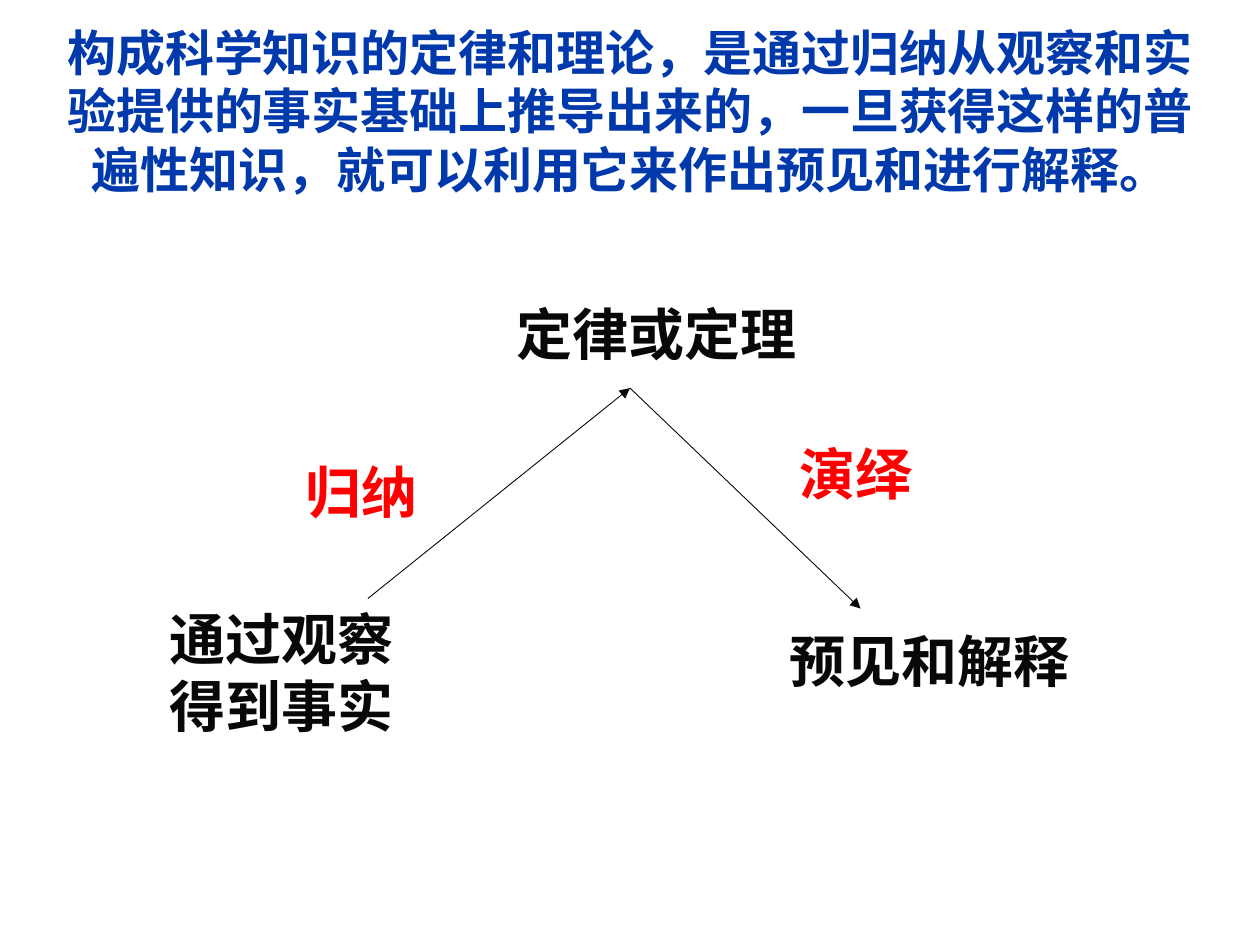
from lxml.etree import SubElement
from pptx import Presentation
from pptx.dml.color import RGBColor
from pptx.enum.shapes import MSO_CONNECTOR as Connector
from pptx.enum.text import MSO_ANCHOR as Anchor, PP_ALIGN as Align
from pptx.oxml.ns import qn
from pptx.util import Inches, Pt

BLUE = RGBColor(0x00, 0x39, 0xAC)
INK = RGBColor(0x08, 0x08, 0x08)
RED = RGBColor(0xFF, 0x00, 0x00)

TITLE = (
    "构成科学知识的定律和理论，是通过归纳从观察和实验提供的事实基础上推导出来的，"
    "一旦获得这样的普遍性知识，就可以利用它来作出预见和进行解释。"
)
TITLE_AREA = (0.33, 0.25, 9.34, 1.25)

LABELS = [
    ("通过观察得到事实", (1.25, 4.75, 2.08, 1.17), INK),
    ("归纳", (2.33, 3.58, 1.17, 0.64), RED),
    ("定律或定理", (4, 2.33, 2.83, 0.64), INK),
    ("预见和解释", (6.17, 4.92, 2.5, 0.64), INK),
    ("演绎", (6.25, 3.44, 1.5, 0.64), RED),
]

FACTS, LAW, PREDICTION = (2.92, 4.75), (5, 3.08), (6.83, 4.83)
ARROWS = [(FACTS, LAW), (LAW, PREDICTION)]


def add_text(slide, text, area, font, size, color, align=Align.LEFT, anchor=Anchor.TOP):
    box = slide.shapes.add_textbox(*map(Inches, area))
    frame = box.text_frame
    frame.word_wrap = True
    frame.vertical_anchor = anchor
    para = frame.paragraphs[0]
    para.alignment = align
    span = para.add_run()
    span.text = text
    span.font.name = font
    span.font.size = Pt(size)
    span.font.bold = True
    span.font.color.rgb = color


def add_arrow(slide, start, end):
    arrow = slide.shapes.add_connector(Connector.STRAIGHT, *map(Inches, start + end))
    arrow.line.color.rgb = INK
    arrow.line.width = Pt(0.5)
    SubElement(arrow.line._get_or_add_ln(), qn("a:tailEnd"), type="triangle")
    SubElement(arrow._element.spPr, qn("a:effectLst"))


def main():
    deck = Presentation()
    deck.slide_width, deck.slide_height = Inches(10), Inches(7.5)
    slide = deck.slides.add_slide(deck.slide_layouts[6])
    add_text(slide, TITLE, TITLE_AREA, "Arial", 28, BLUE, Align.CENTER, Anchor.MIDDLE)
    for text, area, color in LABELS:
        add_text(slide, text, area, "Lato", 32, color)
    for start, end in ARROWS:
        add_arrow(slide, start, end)
    deck.save("out.pptx")


if __name__ == "__main__":
    main()
